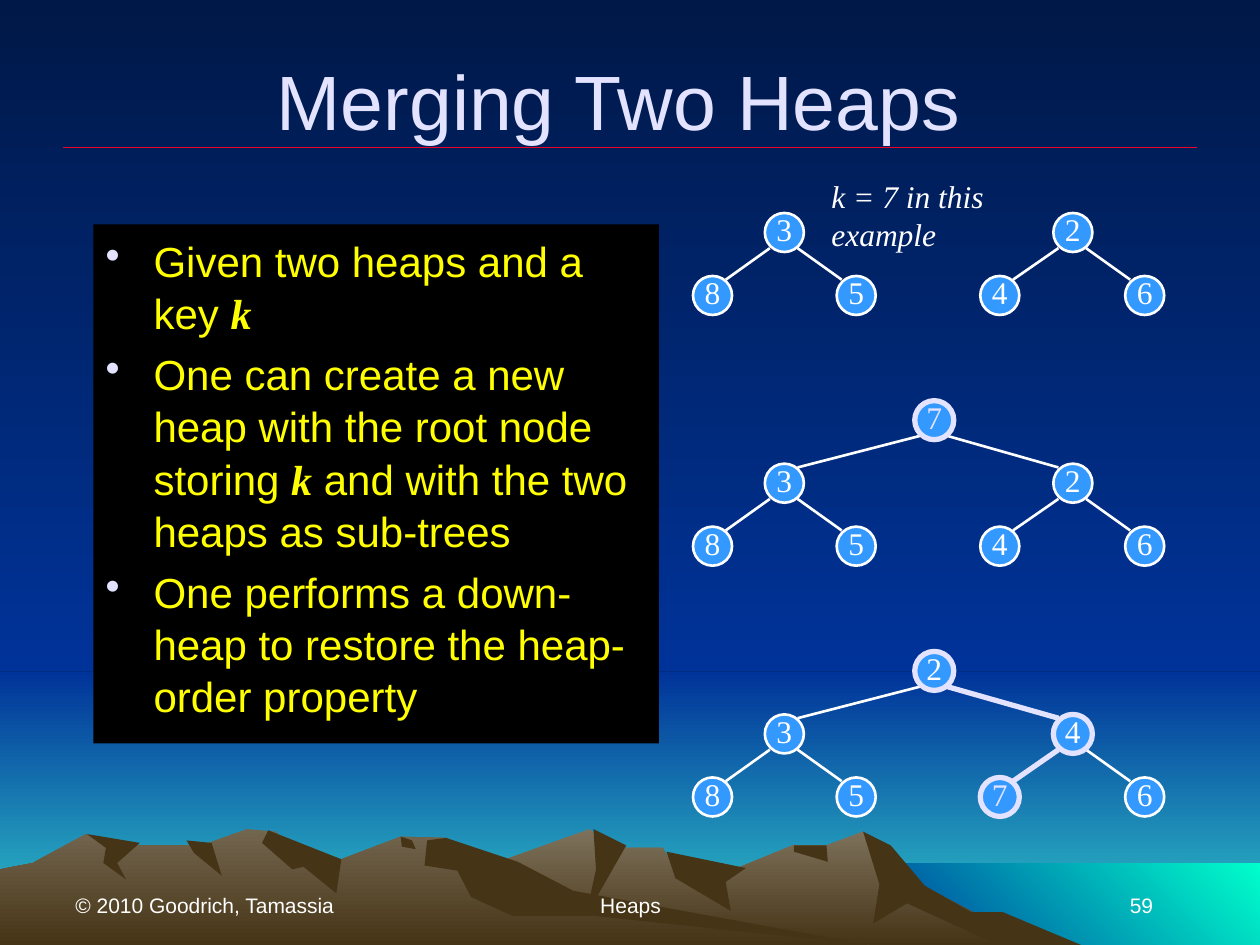
"""Build the slide on merging two heaps, with its mountain backdrop."""
from lxml import etree
from pptx import Presentation
from pptx.dml.color import RGBColor
from pptx.enum.shapes import MSO_CONNECTOR, MSO_SHAPE
from pptx.enum.text import MSO_ANCHOR, PP_ALIGN
from pptx.oxml.ns import qn
from pptx.util import Pt

PX = 9144
LEFT, CENTER, RIGHT = PP_ALIGN.LEFT, PP_ALIGN.CENTER, PP_ALIGN.RIGHT
TOP, MIDDLE, BOTTOM = MSO_ANCHOR.TOP, MSO_ANCHOR.MIDDLE, MSO_ANCHOR.BOTTOM
STRAIGHT, OVAL, RECTANGLE = MSO_CONNECTOR.STRAIGHT, MSO_SHAPE.OVAL, MSO_SHAPE.RECTANGLE

NIGHT = RGBColor.from_string("001847")
BLUE = RGBColor.from_string("003399")
TEAL = RGBColor.from_string("33CCCC")
AQUA = RGBColor.from_string("00FFCC")
BROWN = RGBColor.from_string("463416")
STONE = RGBColor.from_string("7E725C")
ROCK = RGBColor.from_string("73664F")
RED = RGBColor.from_string("EF0129")
LAVENDER = RGBColor.from_string("E3E3FF")
YELLOW = RGBColor.from_string("FFFF00")
NODE_BLUE = RGBColor.from_string("3399FF")
WHITE = RGBColor.from_string("FFFFFF")
BLACK = RGBColor.from_string("000000")

DOWN, UP_RIGHT = 270, 45
SKY = (NIGHT, BLUE, DOWN)
BACKDROP = [
    ((0, 533, 1000, 217), (BLUE, TEAL, DOWN)),
    ((0, 0, 1000, 533), SKY),
    ((683, 685, 317, 65), (BLUE, AQUA, UP_RIGHT)),
]
MOUNTAINS = [
    ((STONE, BROWN, DOWN), [
        (821, 750), (723, 698), (685, 660), (656, 671), (629, 671), (566, 697), (536, 690),
        (526, 673), (486, 673), (468, 658), (399, 683), (327, 709), (258, 750)]),
    (BROWN, [
        (858, 750), (796, 724), (771, 724), (734, 703), (707, 671), (685, 660), (698, 702),
        (693, 733), (720, 717), (792, 750)]),
    (BROWN, [(471, 658), (497, 671), (465, 727), (473, 690)]),
    (BROWN, [(529, 676), (592, 689), (576, 700), (580, 723), (536, 697)]),
    (BROWN, [(630, 671), (656, 671), (657, 684), (630, 676)]),
    ((ROCK, BROWN, DOWN), [
        (690, 750), (432, 712), (354, 665), (318, 664), (271, 682), (236, 681), (219, 660),
        (196, 658), (160, 671), (94, 671), (68, 662), (26, 685), (0, 690), (0, 750)]),
    (BROWN, [(213, 659), (271, 682), (267, 709), (241, 688), (232, 690), (208, 669)]),
    (BROWN, [
        (354, 665), (339, 667), (337, 687), (363, 691), (374, 712), (407, 727), (472, 727),
        (690, 750), (455, 707), (411, 684)]),
    (BROWN, [(318, 664), (327, 667), (330, 674), (319, 672)]),
    (BROWN, [(148, 667), (168, 669), (176, 695), (154, 677)]),
    (BROWN, [(69, 662), (111, 669), (93, 685), (100, 698), (82, 685), (84, 673)]),
]

ARIAL = {"name": "Arial", "size": Pt(24), "bold": False, "italic": False}
KEY_FONT = {**ARIAL, "name": "Times New Roman", "bold": True, "italic": True}
FOOTER = {"name": "Arial", "size": Pt(12)}
NODE_FONT = {"name": "Times New Roman", "size": Pt(18)}
BULLETS = [
    [("Given two heaps and a key ", ARIAL), ("k", KEY_FONT)],
    [("One can create a new heap with the root node storing ", ARIAL), ("k", KEY_FONT),
     (" and with the two heaps as sub-trees", ARIAL)],
    [("One performs a down-heap to restore the heap-order property", ARIAL)],
]
LABELS = [
    ((50, 683, 233, 50), "© 2010 Goodrich, Tamassia", LEFT, BOTTOM, FOOTER),
    ((342, 683, 317, 50), "Heaps", CENTER, BOTTOM, FOOTER),
    ((717, 683, 208, 50), "59", RIGHT, BOTTOM, FOOTER),
    ((650, 136, 214, 37), "k = 7 in this example", LEFT, TOP, {**NODE_FONT, "italic": True}),
]

NEW_KEY = "7"
NODE_SIZE, LEVEL_STEP, TREE_TOP, TREE_STEP = 31, 50, 119, 199
NODE_LEFTS = [726, 607, 836, 550, 664, 778, 893]
TREES = [
    ([None, *"328546"], set()),
    ([*"7328546"], {0}),
    ([*"2348576"], {0, 2, 5}),
]


def scaled(*lengths):
    return [length * PX for length in lengths]


def apply_format(target, values):
    for name, value in values.items():
        setattr(target, name, value)


def paint(fill, paint_value):
    if isinstance(paint_value, RGBColor):
        fill.solid()
        fill.fore_color.rgb = paint_value
        return
    *colors, angle = paint_value
    fill.gradient()
    fill.gradient_angle = angle
    for stop, color in zip(fill.gradient_stops, colors):
        stop.color.rgb = color


def add_run(paragraph, text, font, color):
    run = paragraph.add_run()
    run.text = text
    apply_format(run.font, font)
    run.font.color.rgb = color


def add_line(shapes, start, end, color, width):
    line = shapes.add_connector(STRAIGHT, *scaled(*start, *end))
    line.line.color.rgb = color
    line.line.width = Pt(width)
    etree.SubElement(line.element.spPr, qn("a:effectLst"))


def add_backdrop(shapes):
    areas = [(shapes.add_shape(RECTANGLE, *scaled(*box)), fill) for box, fill in BACKDROP]
    for fill, points in MOUNTAINS:
        builder = shapes.build_freeform(*points[0], scale=PX)
        builder.add_line_segments(points[1:], close=True)
        areas.append((builder.convert_to_shape(), fill))
    for shape, fill in areas:
        shape.shadow.inherit = False
        shape.line.fill.background()
        paint(shape.fill, fill)


def add_bullets(shapes):
    box = shapes.add_textbox(*scaled(74, 178, 449, 412))
    paint(box.fill, BLACK)
    frame = box.text_frame
    apply_format(frame, {"word_wrap": True, "margin_top": 7 * PX})
    for index, runs in enumerate(BULLETS):
        paragraph = frame.add_paragraph() if index else frame.paragraphs[0]
        properties = paragraph._p.get_or_add_pPr()
        properties.set("marL", str(38 * PX))
        properties.set("indent", str(-38 * PX))
        bullet_color = etree.SubElement(properties, qn("a:buClr"))
        etree.SubElement(bullet_color, qn("a:srgbClr"), val=str(LAVENDER))
        etree.SubElement(properties, qn("a:buChar"), char="•")
        apply_format(paragraph, {"line_spacing": 1.04, "space_before": Pt(4.8 if index else 0)})
        for text, font in runs:
            add_run(paragraph, text, font, YELLOW)


def add_tree(shapes, top, keys, highlighted):
    places = [(left, top + LEVEL_STEP * ((index + 1).bit_length() - 1))
              for index, left in enumerate(NODE_LEFTS)]
    styles = [(LAVENDER, 3) if index in highlighted else (WHITE, 1.5)
              for index in range(len(keys))]
    for child in range(1, len(keys)):
        parent = (child - 1) // 2
        if keys[parent] is None:
            continue
        start_x, end_x = (4, 26) if child % 2 else (26, 4)
        start = (places[parent][0] + start_x, places[parent][1] + 28)
        end = (places[child][0] + end_x, places[child][1] + 3)
        add_line(shapes, start, end, *min(styles[parent], styles[child], key=lambda style: style[1]))
    for key, place, (color, width) in zip(keys, places, styles):
        if key is None:
            continue
        node = shapes.add_shape(OVAL, *scaled(*place, NODE_SIZE, NODE_SIZE))
        node.shadow.inherit = False
        paint(node.fill, NODE_BLUE)
        node.line.color.rgb = color
        node.line.width = Pt(width)
        apply_format(node.text_frame, {
            "margin_left": 0, "margin_top": 0, "margin_right": 0, "margin_bottom": 5 * PX,
            "word_wrap": False, "vertical_anchor": MIDDLE})
        paragraph = node.text_frame.paragraphs[0]
        paragraph.alignment = CENTER
        add_run(paragraph, key, NODE_FONT, LAVENDER if key == NEW_KEY else WHITE)


def main():
    presentation = Presentation()
    presentation.slide_width, presentation.slide_height = scaled(1000, 750)
    slide = presentation.slides.add_slide(presentation.slide_layouts[5])
    shapes = slide.shapes
    paint(slide.background.fill, SKY)
    add_backdrop(shapes)
    add_line(shapes, (50, 117), (950, 117), RED, 0.75)

    title = shapes.title
    title.element.getparent().append(title.element)
    apply_format(title, dict(zip(("left", "top", "width", "height"), scaled(41, 17, 900, 125))))
    title.text_frame.vertical_anchor = MIDDLE
    heading = title.text_frame.paragraphs[0]
    heading.alignment = CENTER
    add_run(heading, "Merging Two Heaps", {"name": "Arial", "size": Pt(44)}, LAVENDER)

    add_bullets(shapes)
    for index, (keys, highlighted) in enumerate(TREES):
        add_tree(shapes, TREE_TOP + TREE_STEP * index, keys, highlighted)
    for box, text, alignment, anchor, font in LABELS:
        frame = shapes.add_textbox(*scaled(*box)).text_frame
        apply_format(frame, {"word_wrap": True, "vertical_anchor": anchor})
        frame.paragraphs[0].alignment = alignment
        add_run(frame.paragraphs[0], text, font, WHITE)
    presentation.save("out.pptx")


if __name__ == "__main__":
    main()
